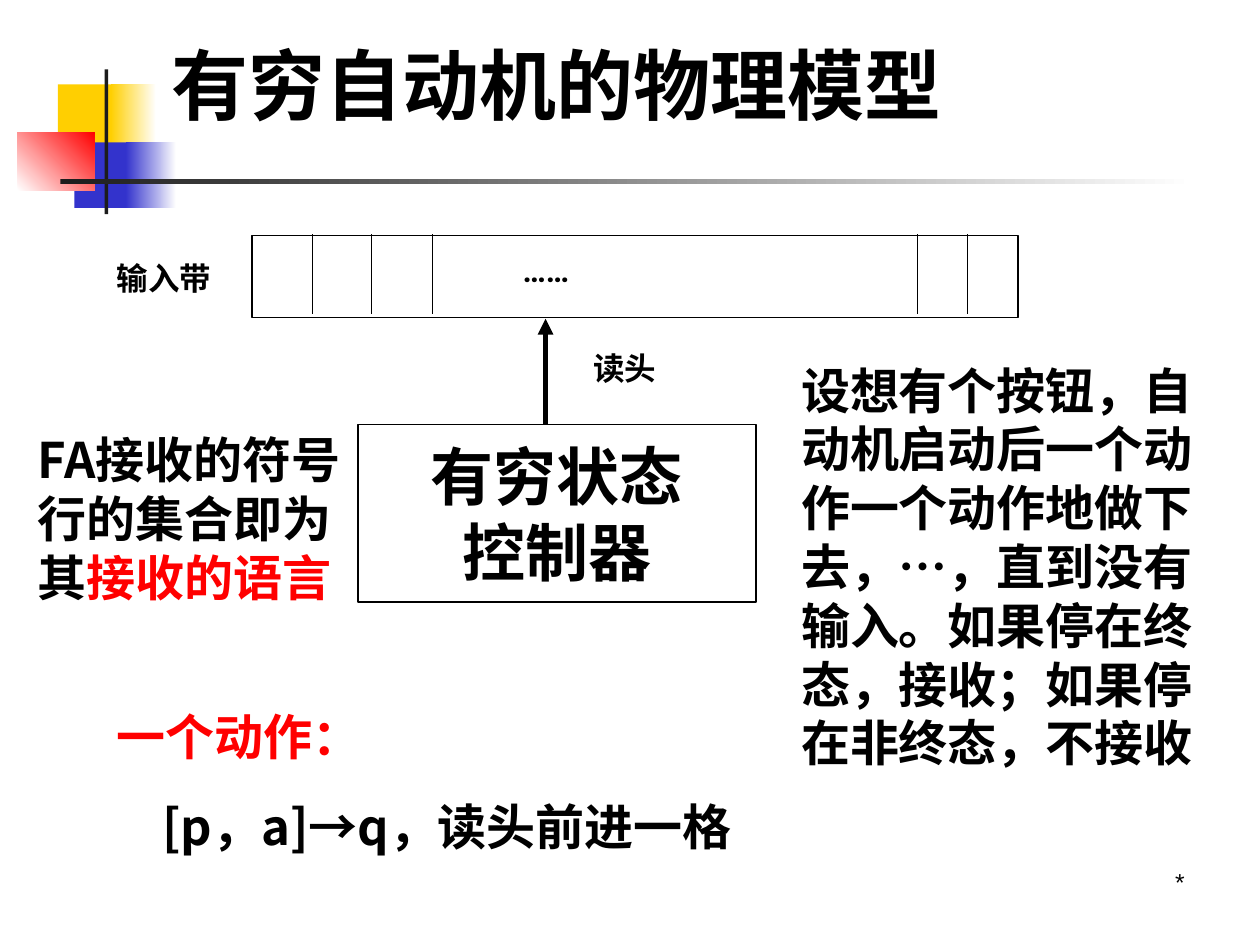
from lxml import etree
from pptx import Presentation
from pptx.dml.color import RGBColor
from pptx.enum.shapes import MSO_CONNECTOR, MSO_SHAPE
from pptx.enum.text import MSO_ANCHOR, PP_ALIGN
from pptx.oxml.ns import qn
from pptx.util import Inches, Pt

RECT = MSO_SHAPE.RECTANGLE
STRAIGHT = MSO_CONNECTOR.STRAIGHT
LEFT, CENTER, RIGHT = PP_ALIGN.LEFT, PP_ALIGN.CENTER, PP_ALIGN.RIGHT
TOP, MIDDLE, BOTTOM = MSO_ANCHOR.TOP, MSO_ANCHOR.MIDDLE, MSO_ANCHOR.BOTTOM
COLORS = {"black": "000000", "white": "FFFFFF", "red": "FF0000",
          "yellow": "FFCF01", "blue": "3333CC", "charcoal": "1C1C1C"}
CJK_FONT = "Noto Sans CJK SC"
SERIF, SANS = "Times New Roman", "Roboto"


def rgb(name):
    return RGBColor.from_string(COLORS[name])


def write(shape, paragraphs, size, font, align=LEFT, anchor=TOP, bold=True,
          before=0, wrap=True):
    """Fill a shape with paragraphs, each a list of (text, colour) runs."""
    frame = shape.text_frame
    frame.word_wrap = wrap
    frame.vertical_anchor = anchor
    for index, runs in enumerate(paragraphs):
        paragraph = frame.add_paragraph() if index else frame.paragraphs[0]
        paragraph.alignment = align
        paragraph.line_spacing = Pt(round(size * 1.2, 1))
        paragraph.space_before = Pt(before if index else 0)
        for text, color in runs:
            run = paragraph.add_run()
            run.text = text
            run.font.size = Pt(size)
            run.font.bold = bold
            run.font.name = font
            run.font.color.rgb = rgb(color)
            east_asian = etree.SubElement(run.font._element, qn("a:ea"))
            east_asian.set("typeface", CJK_FONT)


prs = Presentation()
prs.slide_width, prs.slide_height = Inches(10), Inches(7.5)
slide = prs.slides.add_slide(prs.slide_layouts[5])
shapes = slide.shapes

# Corner ornament and title rule: (box, start colour, end colour, angle)
ornament = [
    ((0.46, 0.67, 0.48, 0.52), "yellow", None, 0),
    ((0.88, 0.67, 0.36, 0.52), "yellow", "white", 0),
    ((0.59, 1.13, 0.46, 0.52), "blue", None, 0),
    ((1, 1.13, 0.4, 0.52), "blue", "white", 0),
    ((0.14, 1.05, 0.61, 0.46), "white", "red", 45),
    ((0.83, 0.55, 0.03, 1.15), "charcoal", None, 0),
    ((0.48, 1.42, 9, 0.04), "charcoal", "white", 0),
]
for box, start, end, angle in ornament:
    block = shapes.add_shape(RECT, *map(Inches, box))
    block.shadow.inherit = False
    block.line.fill.background()
    if end:
        block.fill.gradient()
        block.fill.gradient_angle = angle
        for stop, color in zip(block.fill.gradient_stops, (start, end)):
            stop.color.rgb = rgb(color)
    else:
        block.fill.solid()
        block.fill.fore_color.rgb = rgb(start)

# Title
title = shapes.title
title.left, title.top = Inches(1.26), Inches(0.44)
title.width, title.height = Inches(6.97), Inches(0.64)
write(title, [[("有穷自动机的物理模型", "black")]], 44, SERIF, anchor=BOTTOM)

# Input tape and controller
tape = shapes.add_shape(RECT, Inches(2), Inches(1.87), Inches(6.08), Inches(0.65))
controller = shapes.add_shape(RECT, Inches(2.84), Inches(3.37),
                              Inches(3.16), Inches(1.41))
for frame_box in (tape, controller):
    frame_box.shadow.inherit = False
    frame_box.fill.background()
    frame_box.line.color.rgb = rgb("black")
    frame_box.line.width = Pt(1)
write(controller, [[("有穷状态", "black")], [("控制器", "black")]], 36, SERIF,
      CENTER, MIDDLE, wrap=False)

# Reading head arrow, then tape cell dividers: (x, from y, to y, width)
head_arrow = (4.33, 3.37, 2.53, 3)
dividers = [(x, 1.86, 2.49, 0.75) for x in (2.48, 2.95, 3.43, 7.28, 7.68)]
for stroke in [head_arrow, *dividers]:
    x, start_y, end_y, width = stroke
    line = shapes.add_connector(STRAIGHT, Inches(x), Inches(start_y),
                                Inches(x), Inches(end_y))
    line.line.color.rgb = rgb("black")
    line.line.width = Pt(width)
    if stroke == head_arrow:
        arrowhead = etree.SubElement(line.line._get_or_add_ln(), qn("a:tailEnd"))
        arrowhead.set("type", "triangle")
    etree.SubElement(line._element.spPr, qn("a:effectLst"))

# Diagram labels
for label, left, top in [("输入带", 0.83, 2.01), ("读头", 4.61, 2.72),
                         ("……", 4.05, 1.94)]:
    label_box = shapes.add_textbox(Inches(left), Inches(top),
                                   Inches(1.02), Inches(0.4))
    write(label_box, [[(label, "black")]], 18, SANS)

# Explanations around the diagram
run_story = shapes.add_textbox(Inches(6.26), Inches(2.81), Inches(3.62), Inches(3.37))
write(run_story, [[("设想有个按钮，自动机启动后一个动作一个动作地做下去，…，"
                    "直到没有输入。如果停在终态，接收；如果停在非终态，不接收",
                    "black")]], 28, SANS)

action = shapes.add_textbox(Inches(0.83), Inches(5.56), Inches(6.3), Inches(1.28))
write(action, [[("一个动作：", "red")], [("[p，a]→q，读头前进一格", "black")]],
      28, CJK_FONT, before=17.5)
transition = action.text_frame.paragraphs[1]
transition._p.get_or_add_pPr().set("marL", str(Inches(0.36)))

language = shapes.add_textbox(Inches(0.2), Inches(3.36), Inches(2.6), Inches(1.97))
write(language, [[("FA接收的符号行的集合即为其", "black"), ("接收的语言", "red")]],
      28, CJK_FONT)

# Footer mark
footer = shapes.add_textbox(Inches(7.17), Inches(6.83), Inches(2.33), Inches(0.52))
write(footer, [[("*", "black")]], 14, "Arial", RIGHT, bold=False)

prs.save("out.pptx")
